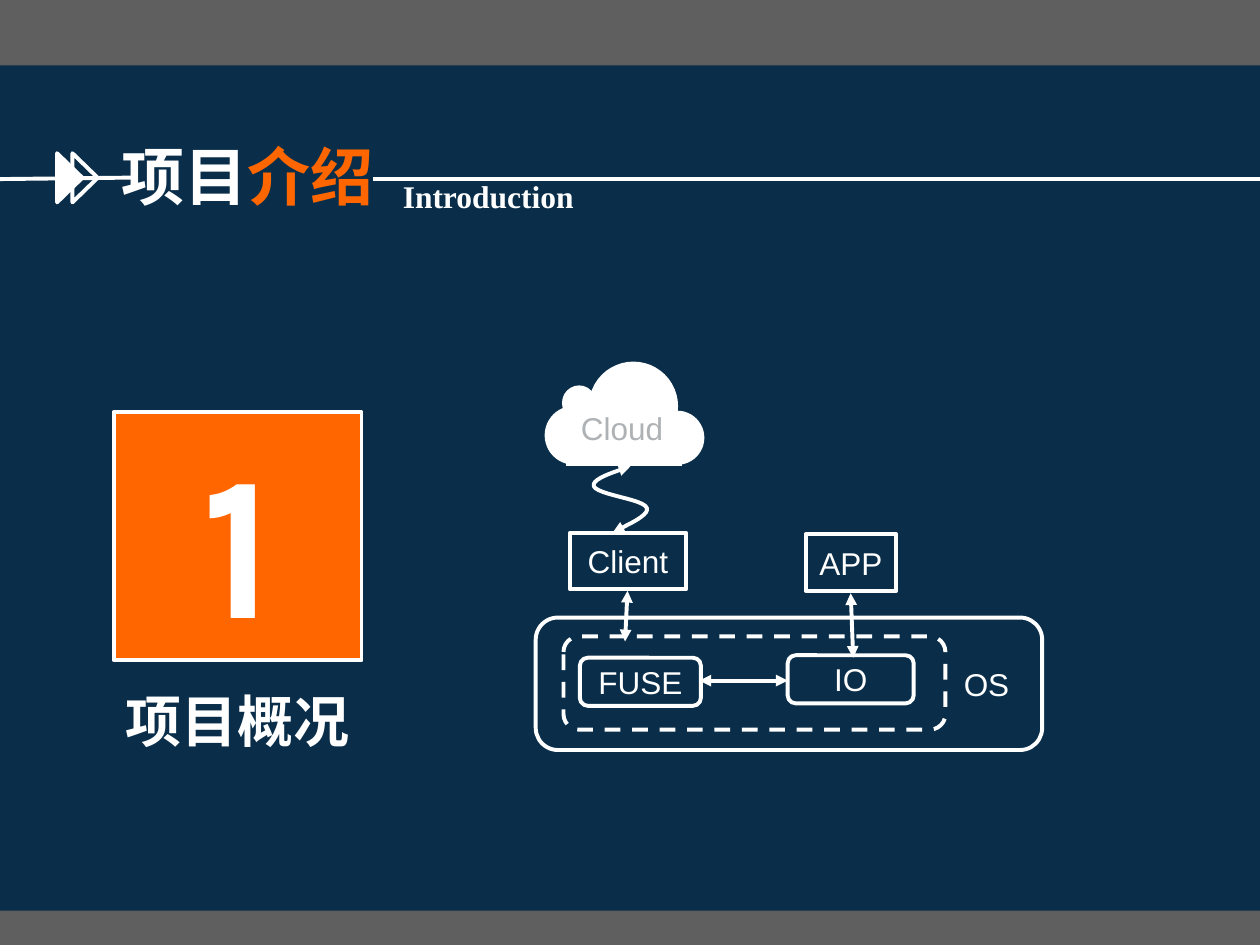
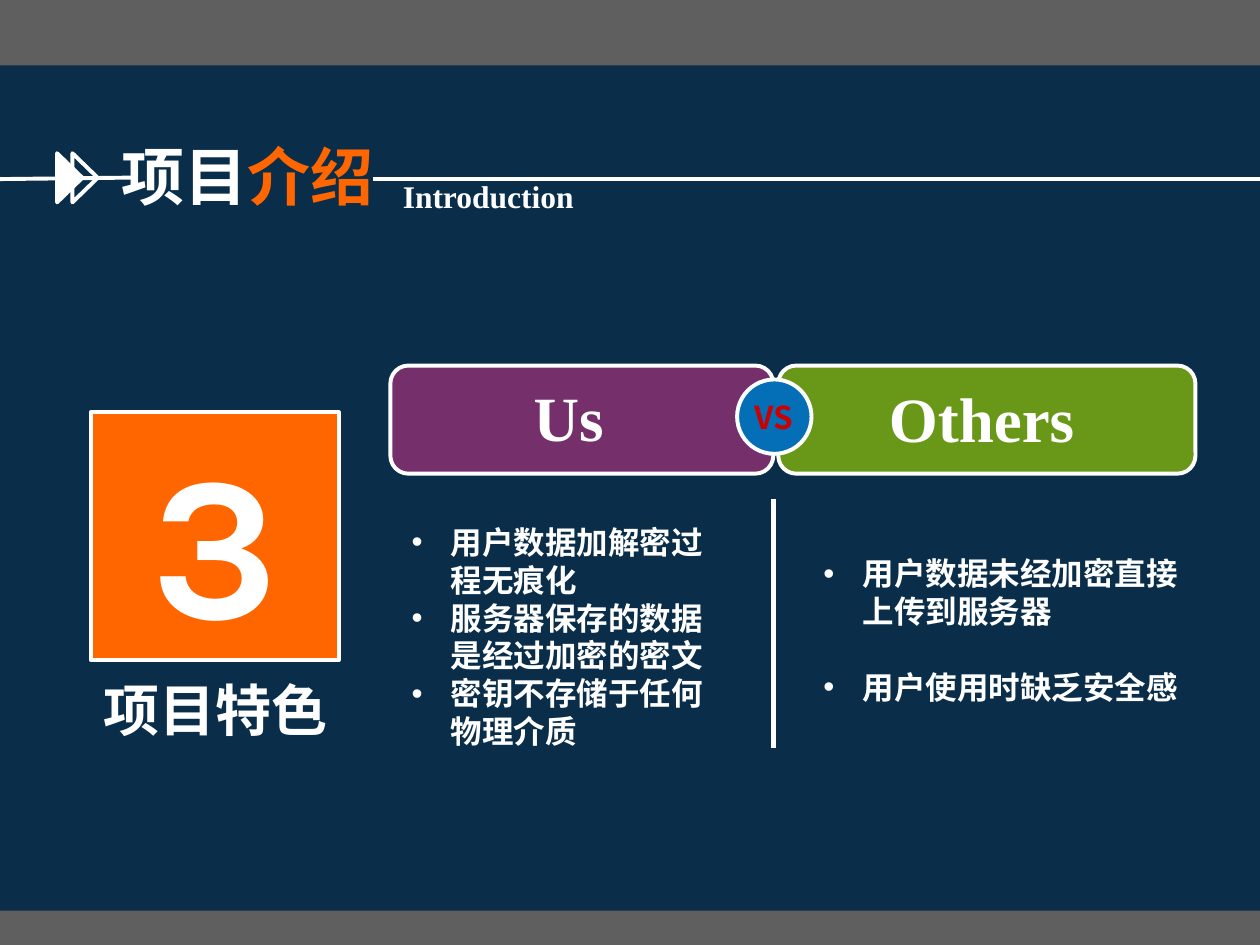
from dataclasses import dataclass

from lxml import etree
from pptx import Presentation
from pptx import util as u
from pptx.dml.color import RGBColor
from pptx.enum import dml, lang, shapes, text
from pptx.oxml import ns

KIND = shapes.MSO_SHAPE


@dataclass(frozen=True)
class Theme:
    backdrop: str = "5F5F5F"
    panel: str = "012947"
    white: str = "FFFFFF"
    accent: str = "FF6600"
    cloud_text: str = "AFB2B4"
    us: str = "FF3399"
    others: str = "99CC00"
    versus: str = "046FB6"
    versus_text: str = "CC0000"
    body_font: str = "Arial"
    english_font: str = "Times New Roman"
    number_font: str = "Karla"
    versus_font: str = "Noto Sans CJK SC"
    body: int = 18
    caption: int = 32
    title: int = 36
    number: int = 117
    leading: float = 1.2
    line: float = 2.25
    divider: float = 3


THEME = Theme()


@dataclass(frozen=True)
class Box:
    """A region in centimetres; its contents are placed from its top left corner."""
    left: float
    top: float
    width: float
    height: float

    def inner(self, left, top, width, height):
        return Box(self.left + left, self.top + top, width, height)

    def point(self, x, y):
        return u.Cm(self.left + x), u.Cm(self.top + y)

    def lengths(self):
        return [u.Cm(v) for v in (self.left, self.top, self.width, self.height)]


def rgb(color):
    return RGBColor.from_string(color)


def add_xml(parent, tag, **attributes):
    return etree.SubElement(parent, ns.qn(tag), attributes)


def set_line(shape, width=THEME.line, dashed=False, arrows=False):
    shape.line.color.rgb = rgb(THEME.white)
    shape.line.width = u.Pt(width)
    if dashed:
        shape.line.dash_style = dml.MSO_LINE.DASH
    if arrows:
        outline = shape._element.spPr.find(ns.qn("a:ln"))
        for end in ("a:headEnd", "a:tailEnd"):
            add_xml(outline, end, type="triangle")


def write(paragraph, runs, size, font=THEME.body_font, bold=False):
    """Add (text, colour) runs on a fixed line height."""
    paragraph.line_spacing = u.Pt(size * THEME.leading)
    for words, color in runs:
        run = paragraph.add_run()
        run.text = words
        run.font.size = u.Pt(size)
        run.font.bold = bold
        run.font.name = font
        run.font.language_id = lang.MSO_LANGUAGE_ID.SIMPLIFIED_CHINESE
        run.font.color.rgb = rgb(color)
        add_xml(run.font._element, "a:ea", typeface=font)


def add_shape(slide, kind, box, fill=None, opacity=100, outlined=True, dashed=False):
    shape = slide.shapes.add_shape(kind, *box.lengths())
    shape.shadow.inherit = False
    if fill:
        shape.fill.solid()
        shape.fill.fore_color.rgb = rgb(fill)
        if opacity < 100:
            color = shape._element.spPr.find(".//" + ns.qn("a:srgbClr"))
            add_xml(color, "a:alpha", val=str(opacity * 1000))
    else:
        shape.fill.background()
    if outlined:
        set_line(shape, dashed=dashed)
    else:
        shape.line.fill.background()
    return shape


def label(shape, words, size=THEME.body, color=THEME.white, **style):
    frame = shape.text_frame
    frame.word_wrap = False
    frame.vertical_anchor = text.MSO_ANCHOR.MIDDLE
    paragraph = frame.paragraphs[0]
    paragraph.alignment = text.PP_ALIGN.CENTER
    write(paragraph, [(words, color)], size, **style)


def add_text(slide, box, runs, size=THEME.body, **style):
    frame = slide.shapes.add_textbox(*box.lengths()).text_frame
    frame.word_wrap = True
    write(frame.paragraphs[0], runs, size, **style)


def add_bullets(slide, box, items, gap=0):
    frame = slide.shapes.add_textbox(*box.lengths()).text_frame
    frame.word_wrap = True
    for index, item in enumerate(items):
        paragraph = frame.add_paragraph() if index else frame.paragraphs[0]
        properties = paragraph._p.get_or_add_pPr()
        indent = u.Cm(0.79)
        properties.set("marL", str(indent))
        properties.set("indent", str(-indent))
        bullet_color = add_xml(properties, "a:buClr")
        add_xml(bullet_color, "a:srgbClr", val=THEME.white)
        add_xml(properties, "a:buFont", typeface=THEME.body_font)
        add_xml(properties, "a:buChar", char="•")
        if index and gap:
            paragraph.space_before = u.Pt(gap)
        write(paragraph, [(item, THEME.white)], THEME.body, bold=True)


def add_line(slide, box, start, end, width=THEME.line, arrows=False):
    connector = slide.shapes.add_connector(
        shapes.MSO_CONNECTOR.STRAIGHT, *box.point(*start), *box.point(*end))
    set_line(connector, width, arrows=arrows)
    add_xml(connector._element.spPr, "a:effectLst")


def add_curve(slide, box, start, segments, steps=12):
    """Draw cubic segments as a fine open outline with an arrow at each end."""
    points = []
    current = start
    for first, second, end in segments:
        for step in range(1, steps + 1):
            t = step / steps
            weights = ((1 - t) ** 3, 3 * t * (1 - t) ** 2, 3 * t * t * (1 - t), t ** 3)
            corners = (current, first, second, end)
            points.append(box.point(*(
                sum(weight * corner[axis] for weight, corner in zip(weights, corners))
                for axis in (0, 1))))
        current = end
    builder = slide.shapes.build_freeform(*box.point(*start))
    builder.add_line_segments(points, close=False)
    curve = builder.convert_to_shape()
    curve.shadow.inherit = False
    curve.fill.background()
    set_line(curve, arrows=True)


def add_header(slide, box):
    # Title
    add_text(slide, box.inner(2.21, 0, 11.68, 1.78),
             [("项目", THEME.white), ("介绍", THEME.accent)], THEME.title, bold=True)
    # Rule with the double arrow
    add_line(slide, box, (0, 0.97), (2.67, 0.94))
    for left, fill in ((0.91, THEME.white), (1.22, None)):
        arrow = add_shape(slide, KIND.ISOSCELES_TRIANGLE,
                          box.inner(left, 0.69, 0.99, 0.51), fill)
        arrow.rotation = 90
    add_line(slide, box, (7.52, 0.97), (box.width, 0.97))
    # Subtitle
    add_text(slide, box.inner(7.87, 0.81, 6.73, 1.02), [("Introduction", THEME.white)],
             font=THEME.english_font, bold=True)


def add_chapter(slide, box, number, caption, caption_top):
    tile = add_shape(slide, KIND.RECTANGLE, box, THEME.accent)
    label(tile, number, THEME.number, font=THEME.number_font, bold=True)
    add_text(slide, box.inner(0, caption_top, 5.6, 1.63), [(caption, THEME.white)],
             THEME.caption, bold=True)


def add_architecture(slide, box):
    # System frames
    rounded, square = KIND.FLOWCHART_ALTERNATE_PROCESS, KIND.FLOWCHART_PROCESS
    add_shape(slide, rounded, box.inner(0, 5.16, box.width, 2.67))
    add_shape(slide, rounded, box.inner(0.56, 5.54, 7.7, 1.88), dashed=True)
    # Components
    for name, kind, place in (
            ("FUSE", rounded, (0.89, 5.97, 2.44, 0.97)),
            ("IO", rounded, (5.08, 5.92, 2.54, 0.97)),
            ("Client", square, (0.69, 3.45, 2.34, 1.14)),
            ("APP", square, (5.44, 3.48, 1.83, 1.14))):
        label(add_shape(slide, kind, box.inner(*place)), name)
    # Links
    for start, end in (((1.85, 4.62), (1.8, 5.64)),
                       ((6.35, 4.67), (6.4, 5.97)),
                       ((3.3, 6.43), (5.08, 6.43))):
        add_line(slide, box, start, end, arrows=True)
    # Cloud: four puffs on a flat base
    for puff in ((1.07, 0, 1.8, 1.8), (2.31, 0.99, 1.09, 1.09),
                 (0.18, 0.89, 1.19, 1.19), (0.53, 0.48, 0.69, 0.71)):
        add_shape(slide, KIND.OVAL, box.inner(*puff), THEME.white, outlined=False)
    add_shape(slide, square, box.inner(0.61, 1.19, 2.34, 0.91), THEME.white, outlined=False)
    # Link from cloud to client
    add_curve(slide, box, (1.91, 2.11), (
        ((1.75, 2.18), (1.12, 2.34), (1.17, 2.51)),
        ((1.24, 2.69), (2.18, 2.77), (2.24, 2.95)),
        ((2.31, 3.12), (1.7, 3.35), (1.55, 3.45))))
    # Free labels
    add_text(slide, box.inner(8.38, 5.99, 2.08, 1.02), [("OS", THEME.white)])
    add_text(slide, box.inner(0.66, 0.84, 2.64, 1.02), [("Cloud", THEME.cloud_text)])


def add_comparison(slide, box):
    # Heading bars
    for left, width, fill, opacity in ((0, 7.72, THEME.us, 44),
                                       (7.82, 8.41, THEME.others, 67)):
        add_shape(slide, KIND.ROUNDED_RECTANGLE, box.inner(left, 0, width, 2.18),
                  fill, opacity)
    badge = add_shape(slide, KIND.OVAL, box.inner(6.99, 0.28, 1.5, 1.5), THEME.versus)
    label(badge, "VS", color=THEME.versus_text, font=THEME.versus_font, bold=True)
    for name, left, top, width in (("Us", 2.64, 0.13, 3.35), ("Others", 9.8, 0.15, 5.11)):
        add_text(slide, box.inner(left, top, width, 1.78), [(name, THEME.white)],
                 THEME.title, font=THEME.english_font, bold=True)
    # Two columns of points
    add_line(slide, box, (7.72, 2.69), (7.72, 7.7), THEME.divider)
    add_bullets(slide, box.inner(0.18, 3.05, 6.55, 5.59), (
        "用户数据加解密过程无痕化",
        "服务器保存的数据是经过加密的密文",
        "密钥不存储于任何物理介质"))
    add_bullets(slide, box.inner(8.48, 3.68, 7.72, 3.3), (
        "用户数据未经加密直接上传到服务器",
        "用户使用时缺乏安全感"), gap=THEME.body * THEME.leading)


def new_slide(presentation):
    slide = presentation.slides.add_slide(presentation.slide_layouts[6])
    slide.background.fill.solid()
    slide.background.fill.fore_color.rgb = rgb(THEME.backdrop)
    add_shape(slide, KIND.RECTANGLE, Box(0, 1.32, 25.4, 17.04), THEME.panel, 90,
              outlined=False)
    add_header(slide, Box(0, 2.64, 25.4, 1.83))
    return slide


def main():
    presentation = Presentation()
    presentation.slide_width, presentation.slide_height = u.Cm(25.4), u.Cm(19.05)

    overview = new_slide(presentation)
    add_architecture(overview, Box(10.8, 7.29, 10.21, 7.82))
    add_chapter(overview, Box(2.29, 8.31, 5, 5), "1", "项目概况", 5.41)

    features = new_slide(presentation)
    add_comparison(features, Box(7.87, 7.37, 16.23, 8.64))
    add_chapter(features, Box(1.83, 8.31, 5, 5), "3", "项目特色", 5.18)

    presentation.save("out.pptx")


if __name__ == "__main__":
    main()
